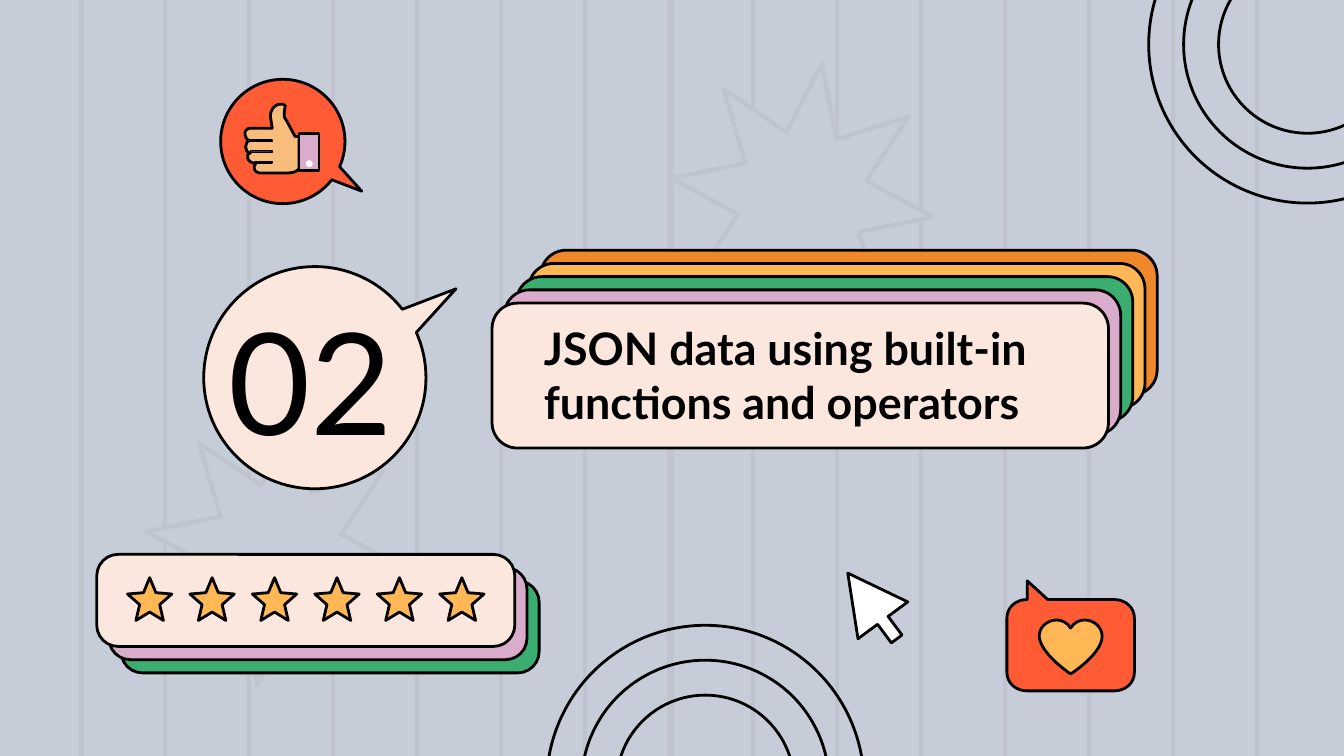
from math import cos, radians, sin, tan

from lxml.etree import Element, SubElement
from pptx import Presentation
from pptx.dml.color import RGBColor
from pptx.enum.shapes import MSO_CONNECTOR, MSO_SHAPE
from pptx.enum.text import MSO_ANCHOR, PP_ALIGN
from pptx.oxml.ns import qn
from pptx.util import Cm, Pt

WIDTH, HEIGHT = 25.4, 14.29
BLACK, CREAM, RED, YELLOW = "000000", "FCE7DF", "FF5B34", "FFB855"
GREEN, PINK, GREY, BLUE = "3BAD70", "DAACCB", "C0C4CE", "C6CDD8"

HEART = [(.28, 0), (.13, 0, 0, .13, 0, .3), (.02, .63, .5, 1, .5, 1),
         (.5, 1, 1, .63, 1, .3), (1, .13, .87, 0, .72, 0),
         (.64, 0, .55, .05, .5, .15), (.45, .05, .36, 0, .28, 0)]
CHAT_BOX = [(.16, 1), (.07, 1, 0, .93, 0, .83), (0, .34),
            (0, .24, .07, .17, .16, .17), (.16, 0), (.32, .17), (.84, .17),
            (.93, .17, 1, .24, 1, .34), (1, .83), (1, .93, .93, 1, .84, 1)]
HAND = [(.65, 0), (.56, 0, .46, .08, .48, .2), (.51, .35), (.11, .35),
        (-.04, .35, -.01, .53, .11, .53), (-.01, .53, -.01, .71, .11, .71),
        (.01, .71, .04, .86, .21, .86), (.14, .92, .19, 1, .28, 1), (.8, 1),
        (.85, 1, .96, .99, 1, .94), (1, .47), (.93, .47), (.78, .25),
        (.73, .22, .73, .18, .73, .12), (.75, .02), (.73, 0, .7, 0, .65, 0)]


def rgb(value):
    """Turn a hex string into a colour."""
    return RGBColor.from_string(value)


def paint(shape, fill=None, line=BLACK, width=1.5):
    """Set the fill and line of a shape and drop its shadow."""
    shape.shadow.inherit = False
    if fill:
        shape.fill.solid()
        shape.fill.fore_color.rgb = rgb(fill)
    else:
        shape.fill.background()
    if line:
        shape.line.color.rgb = rgb(line)
        shape.line.width = Pt(width)
    else:
        shape.line.fill.background()


def add_preset(s, kind, box, adj=(), rot=0, **style):
    """Add a preset shape in a box given in centimetres."""
    sp = s.shapes.add_shape(kind, *map(Cm, box))
    for i, value in enumerate(adj):
        sp.adjustments[i] = value
    sp.rotation = rot
    paint(sp, **style)


def add_outline(s, segs, box, **style):
    """Add a closed outline of lines and curves in fractions of its box."""
    x, y, w, h = box
    segs = [[(Cm(x + w * px), Cm(y + h * py)) for px, py in zip(seg[::2], seg[1::2])]
            for seg in segs]
    builder = s.shapes.build_freeform(*segs[0][0], scale=1.0)
    builder.add_line_segments([seg[-1] for seg in segs[1:]], close=True)
    sp = builder.convert_to_shape()
    left, top = sp.left, sp.top
    outline = sp._element.find(".//" + qn("a:path"))
    for node, seg in zip(list(outline)[1:], segs[1:]):
        if len(seg) == 3:
            curve = Element(qn("a:cubicBezTo"))
            for px, py in seg:
                SubElement(curve, qn("a:pt"), x=str(px - left), y=str(py - top))
            outline.replace(node, curve)
    paint(sp, **style)


def add_text(s, text, box, size=24, bold=False, color=BLACK, font="Lato"):
    """Add a wrapped text box."""
    tf = s.shapes.add_textbox(*map(Cm, box)).text_frame
    tf.word_wrap = True
    tf.vertical_anchor = MSO_ANCHOR.TOP
    tf.margin_left = tf.margin_right = tf.margin_bottom = Cm(.25)
    tf.margin_top = 0
    p = tf.paragraphs[0]
    p.alignment = PP_ALIGN.LEFT
    r = p.add_run()
    r.text = text
    r.font.name, r.font.size, r.font.bold = font, Pt(size), bold
    r.font.color.rgb = rgb(color)


def add_stripes(s, box, count=15):
    """Draw evenly spaced vertical stripes and the centre stripe."""
    x, y, w, h = box
    for sx in [WIDTH / 2] + [x + w * i / (count - 1) for i in range(count)]:
        line = s.shapes.add_connector(MSO_CONNECTOR.STRAIGHT, Cm(sx), Cm(y), Cm(sx), Cm(y + h))
        line.line.color.rgb = rgb(GREY)
        line.line.width = Pt(2.25)
        SubElement(line._element.spPr, qn("a:effectLst"))


def add_rings(s, box, inset=.66):
    """Draw three concentric rings."""
    x, y, w, h = box
    for d in (0, inset, 2 * inset):
        add_preset(s, MSO_SHAPE.OVAL, (x + d, y + d, w - 2 * d, h - 2 * d))


def add_stack(s, box, colors, dx, dy, radius):
    """Draw stacked cards, back to front, with the front card in the box."""
    x, y, w, h = box
    for i, color in enumerate(colors):
        n = len(colors) - 1 - i
        add_preset(s, MSO_SHAPE.ROUNDED_RECTANGLE, (x + n * dx, y + n * dy, w, h),
                   adj=[radius], fill=color)


def arc(start, end):
    """Return the cubic curve of a unit circle between two angles."""
    a, b = radians(start), radians(end)
    k = 4 / 3 * tan((b - a) / 4)
    return (cos(a) - k * sin(a), sin(a) + k * cos(a),
            cos(b) + k * sin(b), sin(b) - k * cos(b), cos(b), sin(b))


def add_bubble(s, box, color, side):
    """Draw a round bubble with a right tail, up (-1) or down (1)."""
    angles = [38, 90, 180, 270, 360, 384]
    segs = [arc(38, 38)[-2:], *map(arc, angles, angles[1:]), (1.27, .8)]
    segs = [[.5 + v / 2 * (side if i % 2 else 1) for i, v in enumerate(seg)] for seg in segs]
    add_outline(s, segs, box, fill=color)


def add_number(s, box):
    """Place the section number in its bubble."""
    x, y, w, h = box
    add_bubble(s, box, CREAM, -1)
    add_text(s, "02", (x + .21, y + .52, w - .05, h - 1.01), size=76)


def add_title(s, box):
    """Place the section title on its stack of cards."""
    x, y, w, h = box
    add_stack(s, box, ["EE882B", YELLOW, GREEN, PINK, CREAM], .23, -.25, .175)
    add_text(s, "JSON data using built-in functions and operators",
             (x + .73, y + .34, w - .84, h - .53), bold=True)


def add_thumb(s, box):
    """Draw the thumbs-up bubble."""
    x, y, _, _ = box
    add_bubble(s, box, RED, 1)
    add_outline(s, HAND, (x + .45, y + .47, 1.03, 1.3), fill="F8BC7D")
    add_preset(s, MSO_SHAPE.RECTANGLE, (x + 1.48, y + 1.02, .38, .71), fill=PINK)
    for i, left in enumerate((.56, .56, .64)):
        add_preset(s, MSO_SHAPE.RECTANGLE, (x + left, y + 1.15 + .2 * i, .97 - left, .03),
                   fill="512944", width=.75)
    add_preset(s, MSO_SHAPE.OVAL, (x + 1.61, y + 1.53, .13, .13), fill="FFFFFF", line=None)


def add_heart(s, box):
    """Draw the heart message box."""
    x, y, _, _ = box
    add_outline(s, CHAT_BOX, box, fill=RED)
    add_outline(s, HEART, (x + .61, y + .74, 1.19, 1.02), fill=YELLOW)


def add_rating(s, box):
    """Draw the card with a row of six stars."""
    x, y, _, _ = box
    add_stack(s, box, [GREEN, PINK, CREAM], .23, .25, .232)
    for i in range(6):
        add_preset(s, MSO_SHAPE.STAR_5_POINT, (x + .58 + 1.18 * i, y + .44, .84, .81),
                   adj=[.226], fill=YELLOW)


def main():
    """Build the section slide."""
    prs = Presentation()
    prs.slide_width, prs.slide_height = Cm(WIDTH), Cm(HEIGHT)
    s = prs.slides.add_slide(prs.slide_layouts[6])
    s.background.fill.solid()
    s.background.fill.fore_color.rgb = rgb(BLUE)
    add_stripes(s, (1.54, 0, 22.21, HEIGHT))
    for x, y in ((12.66, 1.18), (2.74, 7.86)):
        add_preset(s, MSO_SHAPE.STAR_8_POINT, (x, y, 5, 5.11), adj=[.25], rot=8.4,
                   fill=BLUE, line=GREY, width=2.25)
    add_rings(s, (21.71, -2.16, 6, 6))
    add_rings(s, (10.33, 11.82, 6, 6))
    add_title(s, (9.3, 5.73, 11.65, 2.74))
    add_heart(s, (19.03, 10.98, 2.41, 2.08))
    add_thumb(s, (4.17, 1.5, 2.35, 2.35))
    add_number(s, (3.85, 5.04, 4.2, 4.2))
    add_preset(s, MSO_SHAPE.RIGHT_ARROW, (15.71, 10.87, 1.55, 1.17), adj=[.213, .95],
               rot=233.4, fill="FFFFFF")
    add_rating(s, (1.83, 10.48, 7.9, 1.74))
    prs.save("out.pptx")


if __name__ == "__main__":
    main()
